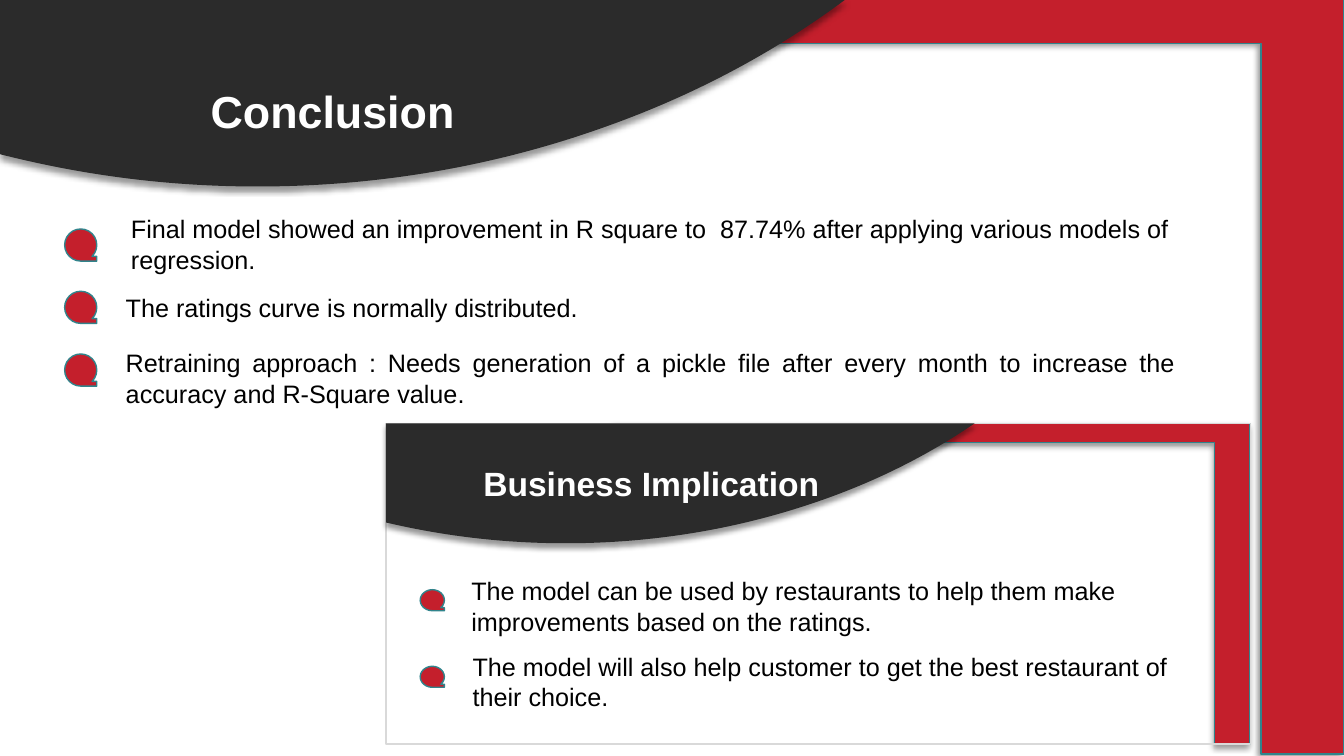
from dataclasses import dataclass

from lxml import etree
from pptx import Presentation
from pptx.dml.color import RGBColor
from pptx.enum.shapes import MSO_SHAPE as Shape
from pptx.enum.text import MSO_ANCHOR as Anchor, MSO_AUTO_SIZE as AutoSize, PP_ALIGN as Align
from pptx.oxml.ns import qn
from pptx.util import Cm, Pt


@dataclass(frozen=True)
class Theme:
    red: str = "C41F2C"
    charcoal: str = "2B2B2B"
    teal: str = "31848C"
    grey: str = "D9D9D9"
    white: str = "FFFFFF"
    black: str = "000000"
    font: str = "Arial"
    title: int = 32
    subtitle: int = 24
    body: int = 18


theme = Theme()


def dress(shape, fill=None, line=None, shadow_angle=None):
    shape.shadow.inherit = False
    for paint, colour in ((shape.fill, fill), (shape.line.fill, line)):
        if colour:
            paint.solid()
            paint.fore_color.rgb = RGBColor.from_string(colour)
        else:
            paint.background()
    if line:
        shape.line.width = Pt(1)
    if shadow_angle is not None:
        effects = shape._element.spPr.find(qn("a:effectLst"))
        shadow = etree.SubElement(effects, qn("a:outerShdw"), blurRad=str(Pt(4)), dist=str(Pt(3)),
                                  dir=str(shadow_angle * 60000), algn="t", rotWithShape="0")
        shade = etree.SubElement(shadow, qn("a:srgbClr"), val=theme.black)
        etree.SubElement(shade, qn("a:alpha"), val="40000")


def write(frame, text, size, colour, align=Align.LEFT, bold=False, **layout):
    for name, value in {"word_wrap": True, **layout}.items():
        setattr(frame, name, value)
    paragraph = frame.paragraphs[0]
    paragraph.alignment = align
    run = paragraph.add_run()
    run.text = text
    for name, value in {"name": theme.font, "size": Pt(size), "bold": bold}.items():
        setattr(run.font, name, value)
    run.font.color.rgb = RGBColor.from_string(colour)


prs = Presentation()
prs.slide_width, prs.slide_height = Cm(33.87), Cm(19.05)
slide = prs.slides.add_slide(prs.slide_layouts[6])
shapes = slide.shapes

swoosh = [
    (0, 827),
    (99, 941), (200, 1000), (305, 1000),
    (447, 1000), (586, 892), (716, 681),
    (820, 514), (915, 286), (1000, 0),
]
sections = [
    ((3.05, -0.05, 30.82, 19.05), None, (0, 0, 21.29, 4.7)),
    ((15.52, 10.67, 15.98, 8.08), (9.73, 10.67, 21.79, 8.08), (9.73, 10.67, 14.83, 3.02)),
]
for border_box, outline_box, header_box in sections:
    border = shapes.add_shape(Shape.CORNER, *map(Cm, border_box))
    border.rotation = 180
    border.adjustments[0], border.adjustments[1] = 0.06, 0.11
    dress(border, theme.red, theme.teal, shadow_angle=135)

    if outline_box:
        outline = shapes.add_shape(Shape.RECTANGLE, *map(Cm, outline_box))
        dress(outline, line=theme.grey)

    left, top, width, height = map(Cm, header_box)
    builder = shapes.build_freeform(0, 0, scale=(width / 1000, height / 1000))
    builder.add_line_segments(swoosh, close=True)
    header = builder.convert_to_shape(left, top)
    segments = list(header._element.iter(qn("a:lnTo")))[1:len(swoosh)]
    for first in range(0, len(segments), 3):
        curve = etree.Element(qn("a:cubicBezTo"))
        segments[first].addprevious(curve)
        for segment in segments[first:first + 3]:
            curve.append(segment[0])
            segment.getparent().remove(segment)
    dress(header, theme.charcoal, shadow_angle=90)

write(header.text_frame, "Business Implication", theme.subtitle, theme.white, bold=True,
      vertical_anchor=Anchor.MIDDLE, margin_left=Cm(2.45), margin_right=Cm(0.1),
      margin_top=Cm(0.1), margin_bottom=Cm(0.1))

title = shapes.add_textbox(Cm(-0.15), Cm(1.98), Cm(17.07), Cm(1.62))
write(title.text_frame, "Conclusion", theme.title, theme.white, Align.CENTER, True,
      auto_size=AutoSize.SHAPE_TO_FIT_TEXT)

conclusion_marker = (1.63, 0.81, 0.81)
implication_marker = (10.59, 0.61, 0.53)
points = [
    (conclusion_marker, 5.77, (3.05, 5.26, 27.58, 1.8), Align.LEFT,
     "Final model showed an improvement in R square to  87.74% after applying various models of regression."),
    (conclusion_marker, 7.34, (2.92, 7.24, 17.07, 1.02), Align.LEFT,
     "The ratings curve is normally distributed."),
    (conclusion_marker, 8.92, (2.92, 8.64, 26.95, 1.8), Align.JUSTIFY,
     "Retraining approach : Needs generation of a pickle file after every month to increase the accuracy and R-Square value."),
    (implication_marker, 14.86, (11.63, 14.38, 18.97, 1.8), Align.LEFT,
     "The model can be used by restaurants to help them make improvements based on the ratings."),
    (implication_marker, 16.79, (11.66, 16.28, 18.97, 1.8), Align.LEFT,
     "The model will also help customer to get the best restaurant of their choice."),
]
for (left, width, height), top, statement_box, align, text in points:
    marker = shapes.add_shape(Shape.FLOWCHART_SEQUENTIAL_ACCESS_STORAGE,
                              Cm(left), Cm(top), Cm(width), Cm(height))
    dress(marker, theme.red, theme.teal)
    statement = shapes.add_textbox(*map(Cm, statement_box))
    write(statement.text_frame, text, theme.body, theme.black, align,
          auto_size=AutoSize.SHAPE_TO_FIT_TEXT)

prs.save("out.pptx")
